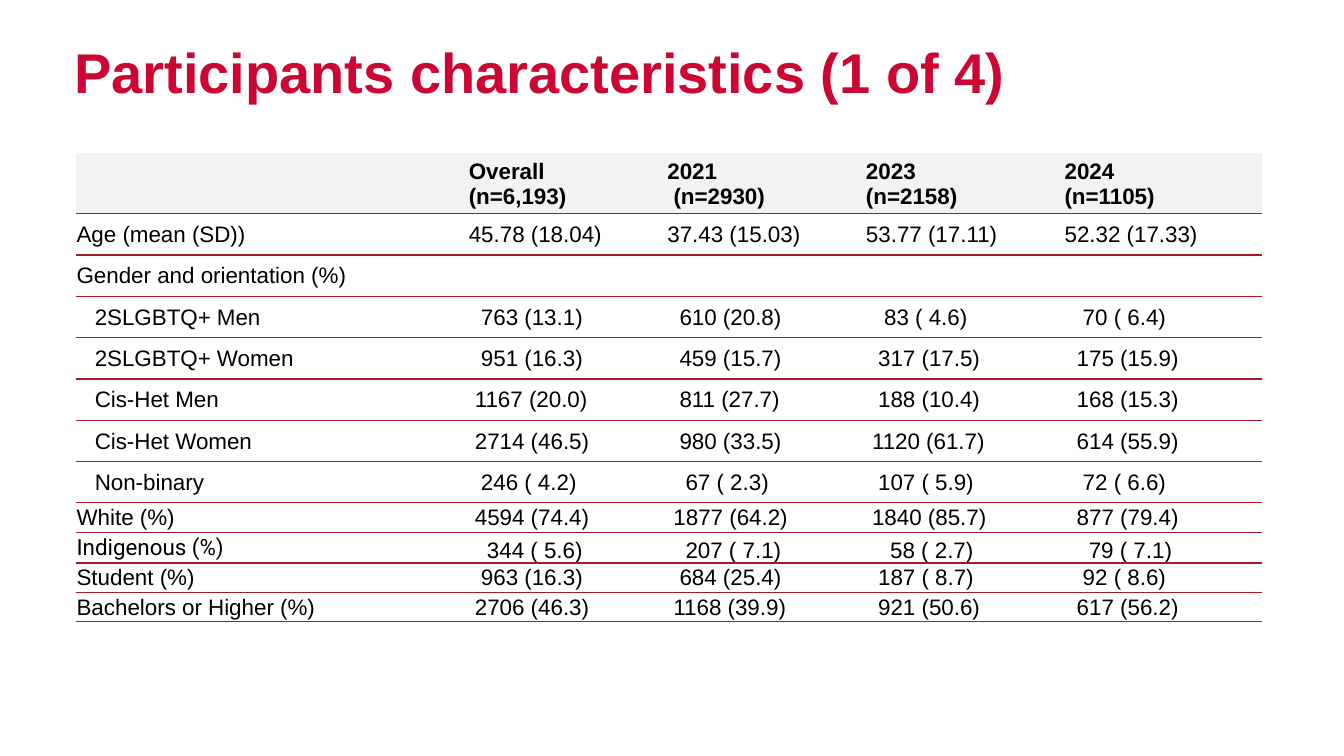
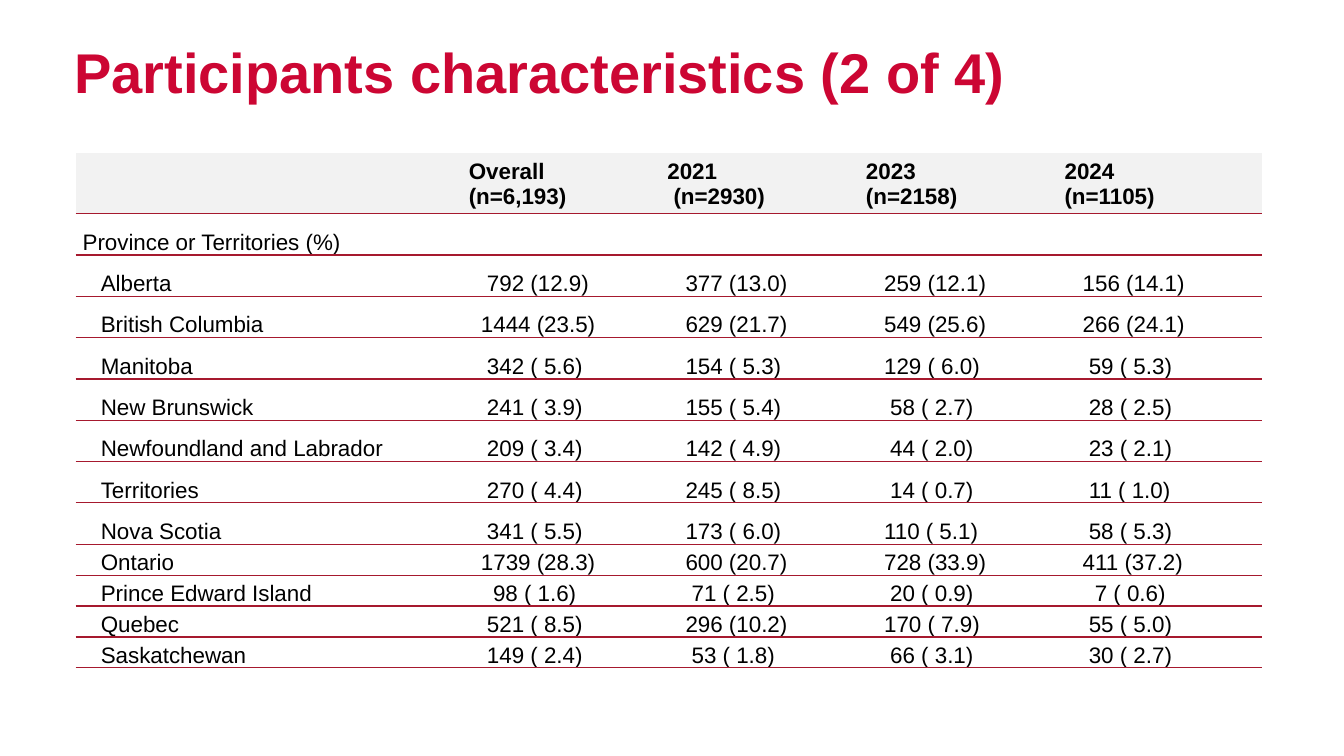
import pptx
import pptx.util
import pptx.dml.color
import pptx.enum.text
import pptx.oxml
import pptx.oxml.ns

Inches, Pt = pptx.util.Inches, pptx.util.Pt
Anchor = pptx.enum.text.MSO_ANCHOR

RED, LINE, GREY, BLACK = "CC0633", "A6192E", "F2F2F2", "000000"
FONT = "Arial"
SPACE = 0.06    # width of one space at 16 pt, in inches
STEP = 3        # spaces before a label inside a group
DIGITS = 5      # spaces that a count is padded to
WIDTHS = [3.89] + [1.97] * 4
HEAD, TALL, LOW = 0.6, 0.41, 0.29
NO_STYLE = "{2D5ABB26-0587-4C30-8999-92F81FD0307C}"

# Cell margins, and paragraph spacing, of the two kinds of cell
MID = {
    "cell": {"margin_left": Inches(0.01), "margin_right": Inches(0.01),
             "margin_top": Inches(0.01), "margin_bottom": 0,
             "vertical_anchor": Anchor.MIDDLE},
    "par": {},
}
BASE = {
    "cell": {"margin_left": Inches(0.07), "margin_right": Inches(0.07),
             "margin_top": 0, "margin_bottom": 0,
             "vertical_anchor": Anchor.BOTTOM},
    "par": {"line_spacing": 1.15, "space_after": Pt(8)},
}

TOP = ["", "Overall\n(n=6,193)", "2021\n (n=2930)", "2023\n(n=2158)", "2024\n(n=1105)"]

# Each row: label, is it in a group, values
TRAITS = [
    ("Age (mean (SD))", False,
     ["45.78 (18.04)", "37.43 (15.03)", "53.77 (17.11)", "52.32 (17.33)"]),
    ("Gender and orientation (%)", False, [""] * 4),
    ("2SLGBTQ+ Men", True, ["763 (13.1)", "610 (20.8)", "83 ( 4.6)", "70 ( 6.4)"]),
    ("2SLGBTQ+ Women", True, ["951 (16.3)", "459 (15.7)", "317 (17.5)", "175 (15.9)"]),
    ("Cis-Het Men", True, ["1167 (20.0)", "811 (27.7)", "188 (10.4)", "168 (15.3)"]),
    ("Cis-Het Women", True, ["2714 (46.5)", "980 (33.5)", "1120 (61.7)", "614 (55.9)"]),
    ("Non-binary", True, ["246 ( 4.2)", "67 ( 2.3)", "107 ( 5.9)", "72 ( 6.6)"]),
    ("White (%)", False, ["4594 (74.4)", "1877 (64.2)", "1840 (85.7)", "877 (79.4)"]),
    ("Indigenous (%)", False, ["344 ( 5.6)", "207 ( 7.1)", "58 ( 2.7)", "79 ( 7.1)"]),
    ("Student (%)", False, ["963 (16.3)", "684 (25.4)", "187 ( 8.7)", "92 ( 8.6)"]),
    ("Bachelors or Higher (%)", False,
     ["2706 (46.3)", "1168 (39.9)", "921 (50.6)", "617 (56.2)"]),
]
PLACES = [
    ("Province or Territories (%)", False, [""] * 4),
    ("Alberta", True, ["792 (12.9)", "377 (13.0)", "259 (12.1)", "156 (14.1)"]),
    ("British Columbia", True, ["1444 (23.5)", "629 (21.7)", "549 (25.6)", "266 (24.1)"]),
    ("Manitoba", True, ["342 ( 5.6)", "154 ( 5.3)", "129 ( 6.0)", "59 ( 5.3)"]),
    ("New Brunswick", True, ["241 ( 3.9)", "155 ( 5.4)", "58 ( 2.7)", "28 ( 2.5)"]),
    ("Newfoundland and Labrador", True,
     ["209 ( 3.4)", "142 ( 4.9)", "44 ( 2.0)", "23 ( 2.1)"]),
    ("Territories", True, ["270 ( 4.4)", "245 ( 8.5)", "14 ( 0.7)", "11 ( 1.0)"]),
    ("Nova Scotia", True, ["341 ( 5.5)", "173 ( 6.0)", "110 ( 5.1)", "58 ( 5.3)"]),
    ("Ontario", True, ["1739 (28.3)", "600 (20.7)", "728 (33.9)", "411 (37.2)"]),
    ("Prince Edward Island", True, ["98 ( 1.6)", "71 ( 2.5)", "20 ( 0.9)", "7 ( 0.6)"]),
    ("Quebec", True, ["521 ( 8.5)", "296 (10.2)", "170 ( 7.9)", "55 ( 5.0)"]),
    ("Saskatchewan", True, ["149 ( 2.4)", "53 ( 1.8)", "66 ( 3.1)", "30 ( 2.7)"]),
]

# Each slide: title, rows, number of tall rows, kind of body cell
SLIDES = [
    ("Participants characteristics (1 of 4)", TRAITS, 7, MID),
    ("Participants characteristics (2 of 4)", PLACES, 8, BASE),
]


def paint(fmt, color):
    """Give a fill or a font one solid colour."""
    if hasattr(fmt, "solid"):
        fmt.solid()
        fmt = fmt.fore_color
    else:
        fmt = fmt.color
    fmt.rgb = pptx.dml.color.RGBColor.from_string(color)


def write(par, text, size, color, bold, name=FONT):
    par.text = text
    for run in par.runs:
        for key, val in {"name": name, "size": Pt(size), "bold": bold}.items():
            setattr(run.font, key, val)
        paint(run.font, color)


prs = pptx.Presentation()
prs.slide_width, prs.slide_height = Inches(13.33), Inches(7.5)

for title, rows, tall, kind in SLIDES:
    slide = prs.slides.add_slide(prs.slide_layouts[6])

    box = slide.shapes.add_textbox(Inches(0.64), Inches(0.4), Inches(11.94), Inches(0.83))
    box.text_frame.word_wrap = True
    par = box.text_frame.paragraphs[0]
    par.line_spacing = 0.9
    write(par, title, 40, RED, True)

    highs = [HEAD] + [TALL] * tall + [LOW] * (len(rows) - tall)
    table = slide.shapes.add_table(
        len(highs), len(WIDTHS), Inches(0.75), Inches(1.52),
        Inches(sum(WIDTHS)), Inches(sum(highs))).table
    table.horz_banding = False
    table._tbl.tblPr.find(pptx.oxml.ns.qn("a:tableStyleId")).text = NO_STYLE
    for col, wide in zip(table.columns, WIDTHS):
        col.width = Inches(wide)
    for row, high in zip(table.rows, highs):
        row.height = Inches(high)

    grid = [TOP] + [[label, *vals] for label, group, vals in rows]
    for r, line in enumerate(grid):
        for c, text in enumerate(line):
            cell = table.cell(r, c)
            if r == 0:
                paint(cell.fill, GREY)
            else:
                cell.fill.background()
            cell._tc.get_or_add_tcPr().insert(0, pptx.oxml.parse_xml(
                f'<a:lnB {pptx.oxml.ns.nsdecls("a")} w="{Pt(1)}"><a:solidFill>'
                f'<a:srgbClr val="{LINE}"/></a:solidFill></a:lnB>'))
            if not text:
                continue

            native = line[0] == "Indigenous (%)"
            look = MID if r == 0 else BASE if native and c else kind
            for key, val in look["cell"].items():
                setattr(cell, key, val)
            par = cell.text_frame.paragraphs[0]
            for key, val in look["par"].items():
                setattr(par, key, val)

            # Counts line up on their last digit; means and heads stay flush left
            lead = 0
            if r and c and "." not in text.split()[0]:
                lead = DIGITS - len(text.split()[0])
            elif r and c == 0 and rows[r - 1][1]:
                lead = STEP
            cell.margin_left += Inches(lead * SPACE)
            write(par, text, 16, BLACK, r == 0,
                  "Roboto" if native and c == 0 else FONT)

prs.save("out.pptx")
